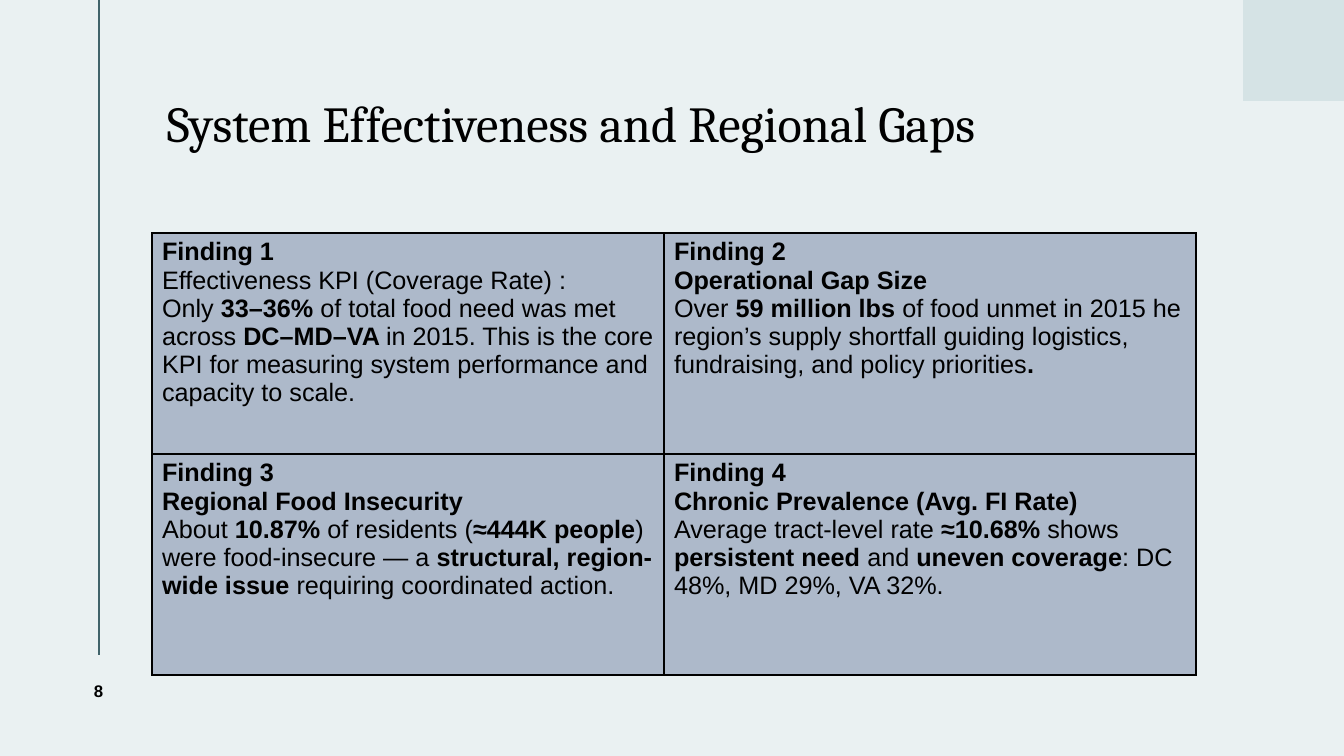
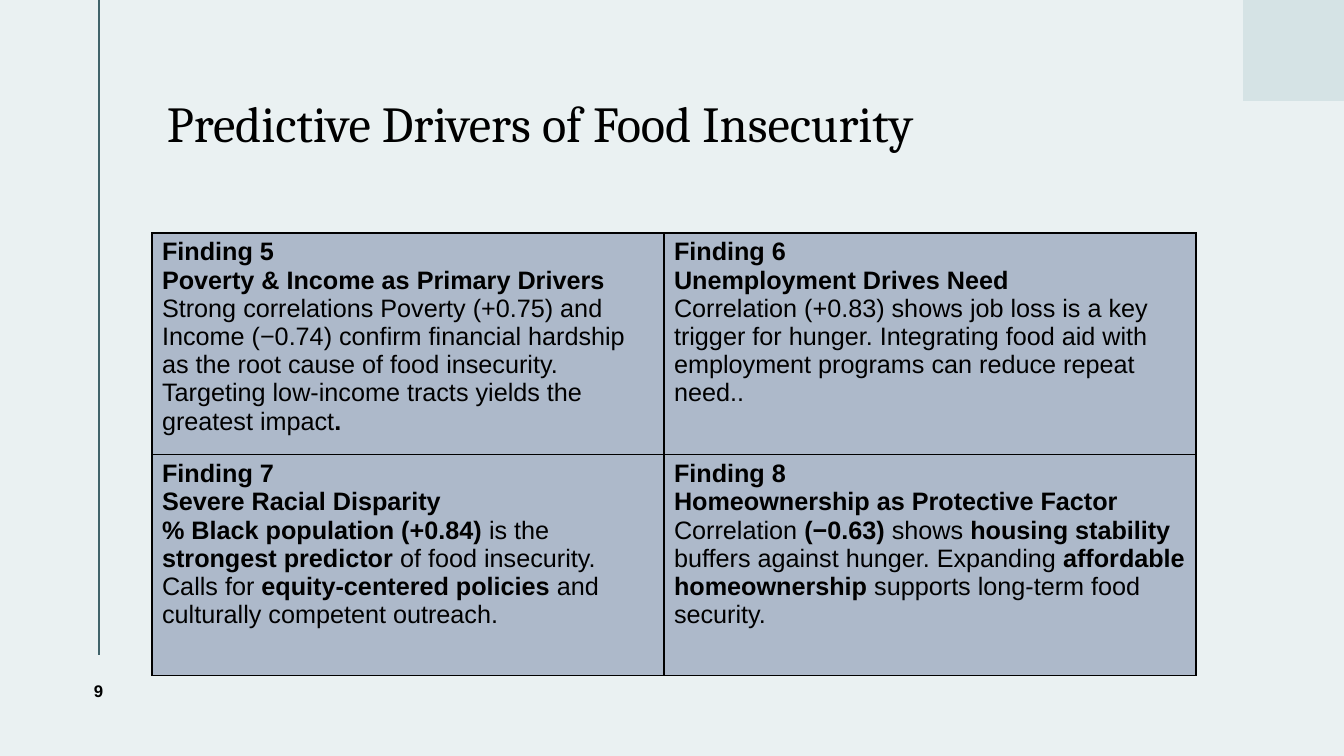
from lxml import etree
from pptx import Presentation
from pptx.dml.color import RGBColor
from pptx.enum.shapes import MSO_CONNECTOR, MSO_SHAPE
from pptx.enum.text import MSO_ANCHOR, MSO_AUTO_SIZE, PP_ALIGN
from pptx.oxml.ns import qn
from pptx.util import Emu, Pt

STRAIGHT = MSO_CONNECTOR.STRAIGHT
RECTANGLE = MSO_SHAPE.RECTANGLE
MIDDLE = MSO_ANCHOR.MIDDLE
NO_FIT = MSO_AUTO_SIZE.NONE
LEFT, CENTER = PP_ALIGN.LEFT, PP_ALIGN.CENTER

TITLE_ONLY = 5
EMU_PER_PX = 914400 / 100.8
COLORS = {
    "background": "EAF1F2",
    "rule": "40636A",
    "corner": "D5E3E5",
    "cell": "ADB9CA",
    "text": "000000",
}
FONTS = {
    "title": {"name": "Cambria", "size": Pt(36), "bold": False},
    "body": {"name": "Arial", "size": Pt(18)},
    "number": {"name": "Arial", "size": Pt(12), "bold": True},
}
COLUMN_WIDTHS = [512, 532]
ROW_HEIGHT = 221

SLIDES = [
    (8, "System Effectiveness and Regional Gaps", [
        [
            ["**Finding 1**",
             "Effectiveness KPI (Coverage Rate) :",
             "Only **33–36%** of total food need was met across **DC–MD–VA **in 2015. "
             "This is the core KPI for measuring system performance and capacity to scale."],
            ["**Finding 2**",
             "**Operational Gap Size**",
             "Over **59 million lbs **of food unmet in 2015 he region’s supply shortfall "
             "guiding logistics, fundraising, and policy priorities**.**"],
        ],
        [
            ["**Finding 3**",
             "**Regional Food Insecurity**",
             "About **10.87%** of residents (**≈444K people**) were food-insecure — a "
             "**structural, region-wide issue** requiring coordinated action."],
            ["**Finding 4**",
             "**Chronic Prevalence (Avg. FI Rate)**",
             "Average tract-level rate **≈10.68%** shows **persistent need** and "
             "**uneven coverage**: DC 48%, MD 29%, VA 32%."],
        ],
    ]),
    (9, "Predictive Drivers of Food Insecurity", [
        [
            ["**Finding 5**",
             "**Poverty & Income as Primary Drivers**",
             "Strong correlations Poverty (+0.75) and Income (−0.74) confirm financial "
             "hardship as the root cause of food insecurity. Targeting low-income tracts "
             "yields the greatest impact**.**"],
            ["**Finding 6**",
             "**Unemployment Drives Need**",
             "Correlation (+0.83) shows job loss is a key trigger for hunger. Integrating "
             "food aid with employment programs can reduce repeat need.."],
        ],
        [
            ["**Finding 7**",
             "**Severe Racial Disparity**",
             "**% Black population (+0.84)** is the **strongest predictor** of food "
             "insecurity. Calls for **equity-centered policies** and culturally competent "
             "outreach."],
            ["**Finding 8**",
             "**Homeownership as Protective Factor**",
             "Correlation **(−0.63)** shows **housing stability** buffers against hunger. "
             "Expanding **affordable homeownership** supports long-term food security."],
        ],
    ]),
]


def px(length):
    """Turn pixels into EMU."""
    return Emu(round(length * EMU_PER_PX))


def color(name):
    """Look up a named colour."""
    return RGBColor.from_string(COLORS[name])


def set_all(target, values):
    """Set every attribute in a dict of format values."""
    for name, value in values.items():
        setattr(target, name, value)


class FindingsDeck:
    """Holds the deck style and the current slide."""

    def __init__(self):
        """Start a deck with its size and background."""
        self.deck = Presentation()
        set_all(self.deck, {"slide_width": px(1344), "slide_height": px(756)})
        fill = self.deck.slide_master.background.fill
        fill.solid()
        fill.fore_color.rgb = color("background")
        self.page = None

    def add_page(self, number, title):
        """Add a slide with the shared frame, title and number."""
        layout = self.deck.slide_layouts[TITLE_ONLY]
        self.page = self.deck.slides.add_slide(layout)
        self.rule(99, 0, 99, 655)
        self.corner(1243, 0, 101)
        self.title(title)
        self.number(number)

    def rule(self, x1, y1, x2, y2):
        """Draw a thin line."""
        line = self.page.shapes.add_connector(STRAIGHT, px(x1), px(y1), px(x2), px(y2))
        line.line.color.rgb = color("rule")
        line.line.width = Pt(1.5)
        etree.SubElement(line._element.spPr, qn("a:effectLst"))

    def corner(self, left, top, side):
        """Draw the corner square."""
        box = self.page.shapes.add_shape(RECTANGLE, px(left), px(top), px(side), px(side))
        box.shadow.inherit = False
        box.fill.solid()
        box.fill.fore_color.rgb = color("corner")
        box.line.fill.background()

    def title(self, text):
        """Place and format the title placeholder."""
        box = self.page.shapes.title
        set_all(box, {"left": px(167), "top": px(48), "width": px(1009), "height": px(157)})
        set_all(box.text_frame, {
            "margin_left": 0, "vertical_anchor": MIDDLE, "word_wrap": True, "auto_size": NO_FIT,
        })
        para = box.text_frame.paragraphs[0]
        set_all(para, {"alignment": LEFT, "line_spacing": 0.9})
        self.span(para, text, FONTS["title"])

    def number(self, number):
        """Write the slide number below the rule."""
        box = self.page.shapes.add_textbox(px(45), px(655), px(107), px(72))
        set_all(box.text_frame, {"vertical_anchor": MIDDLE, "word_wrap": True})
        para = box.text_frame.paragraphs[0]
        para.alignment = CENTER
        self.span(para, str(number), FONTS["number"])

    def span(self, para, text, font):
        """Add one formatted run."""
        span = para.add_run()
        span.text = text
        set_all(span.font, font)
        span.font.color.rgb = color("text")

    def table(self, rows):
        """Add the grid of findings."""
        frame = self.page.shapes.add_table(
            len(rows), len(COLUMN_WIDTHS), px(152), px(233),
            px(sum(COLUMN_WIDTHS)), px(ROW_HEIGHT * len(rows)))
        table = frame.table
        set_all(table, {"first_row": False, "horz_banding": False})
        for column, width in zip(table.columns, COLUMN_WIDTHS):
            column.width = px(width)
        for row, findings in zip(table.rows, rows):
            row.height = px(ROW_HEIGHT)
            for cell, lines in zip(row.cells, findings):
                self.cell(cell, lines)

    def cell(self, cell, lines):
        """Fill a cell with lines whose bold parts sit between double asterisks."""
        self.borders(cell)
        cell.fill.solid()
        cell.fill.fore_color.rgb = color("cell")
        frame = cell.text_frame
        for index, line in enumerate(lines):
            para = frame.add_paragraph() if index else frame.paragraphs[0]
            for position, text in enumerate(line.split("**")):
                if text:
                    self.span(para, text, {**FONTS["body"], "bold": position % 2 == 1})

    def borders(self, cell):
        """Draw a line on each side of a cell."""
        properties = cell._tc.get_or_add_tcPr()
        for side in ("lnL", "lnR", "lnT", "lnB"):
            line = etree.SubElement(properties, qn(f"a:{side}"), w=str(Pt(1)))
            fill = etree.SubElement(line, qn("a:solidFill"))
            etree.SubElement(fill, qn("a:srgbClr"), val=COLORS["text"])


def main():
    """Build and save the deck."""
    findings = FindingsDeck()
    for number, title, rows in SLIDES:
        findings.add_page(number, title)
        findings.table(rows)
    findings.deck.save("out.pptx")


if __name__ == "__main__":
    main()
